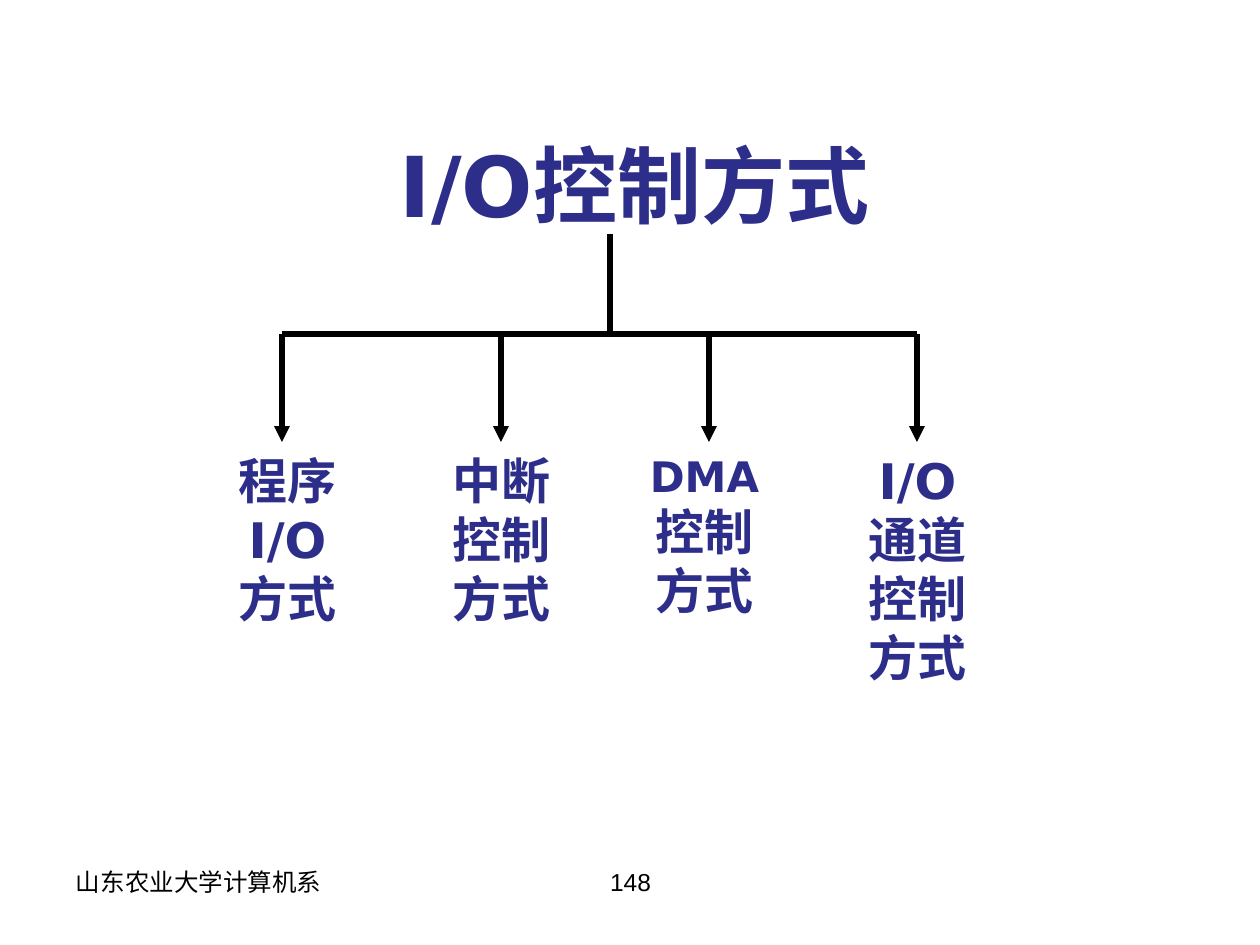
from dataclasses import dataclass

from lxml.etree import SubElement
from pptx import Presentation
from pptx.dml.color import RGBColor
from pptx.enum.shapes import MSO_CONNECTOR
from pptx.enum.text import MSO_ANCHOR, MSO_AUTO_SIZE, PP_ALIGN
from pptx.oxml.ns import qn
from pptx.util import Emu, Inches, Pt

PX_PER_INCH = 126
NAVY = RGBColor(0x2D, 0x2D, 0x8A)
BLACK = RGBColor(0, 0, 0)
DIAGRAM_FONT = "DejaVu Sans"
FOOTER_FONT = "Arial"
BUS_Y, ARROW_END_Y = 334, 442
STEM_X, STEM_TOP = 610, 234


@dataclass(frozen=True)
class Box:
    left: int
    top: int
    width: int
    height: int


@dataclass(frozen=True)
class Branch:
    """A control method: its arrow's x, its label box and (text, points) runs."""
    arrow_x: int
    left: int
    width: int
    height: int
    runs: tuple[tuple[str, int], ...]


@dataclass(frozen=True)
class Footer:
    text: str
    box: Box
    align: PP_ALIGN


BRANCHES = (
    Branch(282, 213, 149, 194, (("程序I/O方式", 28),)),
    Branch(501, 432, 139, 194, (("中断控制方式", 28),)),
    Branch(709, 630, 149, 186, (("DMA", 24), ("控制方式", 28))),
    Branch(917, 848, 139, 253, (("I/O通道控制方式", 28),)),
)
FOOTERS = (
    Footer("山东农业大学计算机系", Box(63, 861, 294, 66), PP_ALIGN.LEFT),
    Footer("148", Box(431, 861, 399, 66), PP_ALIGN.CENTER),
)


def px(n: int) -> Emu:
    return Emu(round(n * Inches(1) / PX_PER_INCH))


def place(sp, box: Box) -> None:
    sp.left, sp.top = px(box.left), px(box.top)
    sp.width, sp.height = px(box.width), px(box.height)


def fill_text(sp, runs, align, font, color, bold, inset: tuple[int, int], auto_size) -> None:
    tf = sp.text_frame
    tf.word_wrap = True
    tf.auto_size = auto_size
    tf.vertical_anchor = MSO_ANCHOR.TOP
    tf.margin_left = tf.margin_right = px(inset[0])
    tf.margin_top = tf.margin_bottom = px(inset[1])
    p = tf.paragraphs[0]
    p.alignment = align
    for text, size in runs:
        r = p.add_run()
        r.text = text
        r.font.name, r.font.size, r.font.bold = font, Pt(size), bold
        r.font.color.rgb = color


def diagram_text(sp, box: Box, runs) -> None:
    place(sp, box)
    fill_text(sp, runs, PP_ALIGN.CENTER, DIAGRAM_FONT, NAVY, True, (18, 9),
              MSO_AUTO_SIZE.SHAPE_TO_FIT_TEXT)


def add_line(s, x1: int, y1: int, x2: int, y2: int, arrow: bool = False) -> None:
    c = s.shapes.add_connector(MSO_CONNECTOR.STRAIGHT, px(x1), px(y1), px(x2), px(y2))
    c.line.color.rgb = BLACK
    c.line.width = Pt(3)
    if arrow:
        SubElement(c.line._get_or_add_ln(), qn("a:tailEnd"), type="triangle")
    SubElement(c._element.spPr, qn("a:effectLst"))


def add_branch(s, branch: Branch) -> None:
    add_line(s, branch.arrow_x, BUS_Y, branch.arrow_x, ARROW_END_Y, arrow=True)
    label = s.shapes.add_textbox(0, 0, 0, 0)
    diagram_text(label, Box(branch.left, ARROW_END_Y, branch.width, branch.height), branch.runs)


def add_footer(s, footer: Footer) -> None:
    sp = s.shapes.add_textbox(0, 0, 0, 0)
    place(sp, footer.box)
    fill_text(sp, ((footer.text, 14),), footer.align, FOOTER_FONT, BLACK, False, (13, 6),
              MSO_AUTO_SIZE.NONE)


def main() -> None:
    prs = Presentation()
    prs.slide_width, prs.slide_height = Inches(10), Inches(7.5)
    s = prs.slides.add_slide(prs.slide_layouts[5])

    diagram_text(s.shapes.title, Box(213, 125, 843, 118), (("I/O控制方式", 48),))
    add_line(s, STEM_X, STEM_TOP, STEM_X, BUS_Y)
    add_line(s, BRANCHES[0].arrow_x, BUS_Y, BRANCHES[-1].arrow_x, BUS_Y)
    for branch in BRANCHES:
        add_branch(s, branch)
    for footer in FOOTERS:
        add_footer(s, footer)

    prs.save("out.pptx")


if __name__ == "__main__":
    main()
